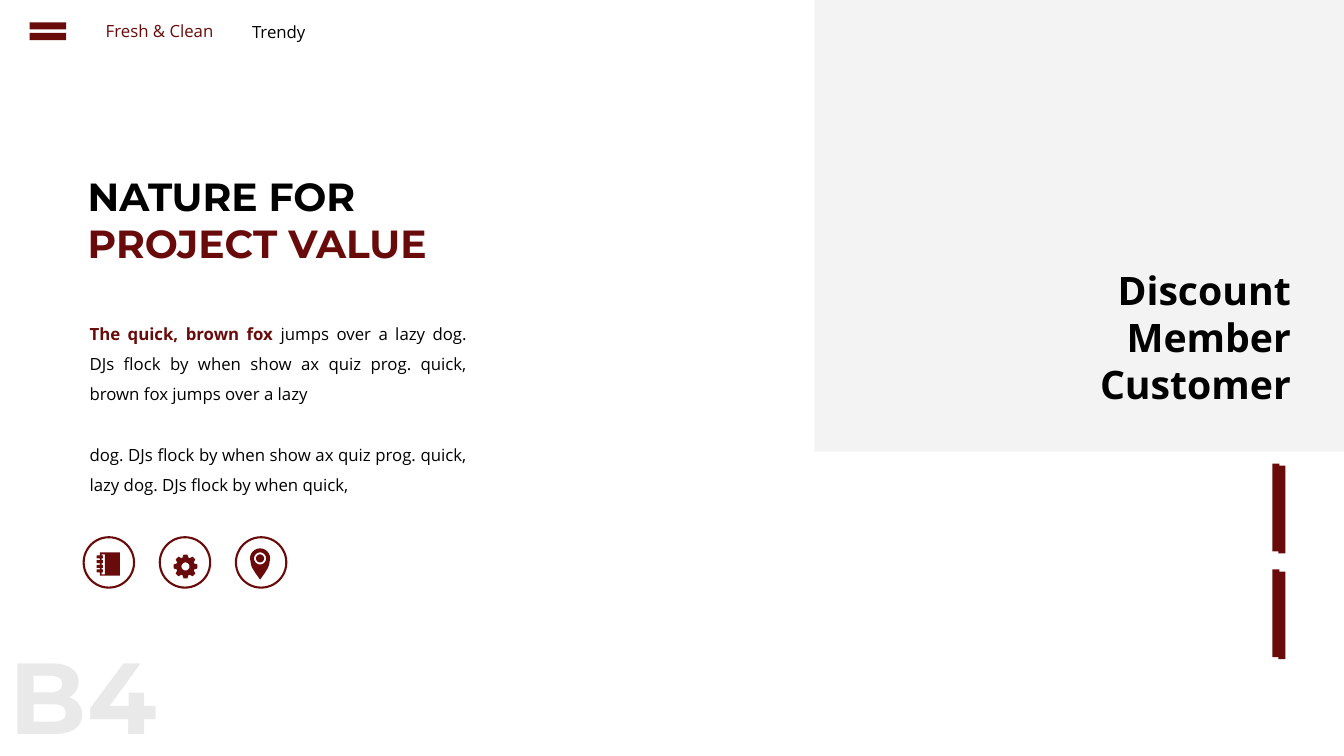
"""Build the project value slide with its discount panel, navigation and icons."""
from math import cos, radians, sin

from lxml import etree
from pptx import Presentation
from pptx.dml.color import RGBColor
from pptx.enum.shapes import MSO_SHAPE
from pptx.enum.text import MSO_ANCHOR, MSO_AUTO_SIZE, PP_ALIGN
from pptx.oxml.ns import qn
from pptx.util import Inches, Pt

RECT, OVAL, EQUAL = MSO_SHAPE.RECTANGLE, MSO_SHAPE.OVAL, MSO_SHAPE.MATH_EQUAL
LEFT, CENTER, RIGHT, JUSTIFY = PP_ALIGN.LEFT, PP_ALIGN.CENTER, PP_ALIGN.RIGHT, PP_ALIGN.JUSTIFY
MAROON, BLACK, WHITE, PANEL, PALE = "690B0B", "000000", "FFFFFF", "F2F2F2", "E9E9E9"
HEADING, BODY = "Montserrat", "Open Sans"

HEADLINE = [[("NATURE FOR ", BLACK, True), ("PROJECT VALUE", MAROON, True)]]
OFFER = [[("Discount Member Customer", BLACK, True)]]
STORY = [
    [("The quick, brown fox ", MAROON, True),
     ("jumps over a lazy dog. DJs flock by when show ax quiz prog. quick, "
      "brown fox jumps over a lazy", BLACK, False)],
    [("dog. DJs flock by when show ax quiz prog. quick, lazy dog. "
      "DJs flock by when quick,", BLACK, False)],
]
NAVIGATION = [
    ("Fresh & Clean", MAROON, (0.95, 0.16, 1.29, 0.3), LEFT),
    ("Trendy", BLACK, (2.39, 0.17, 0.75, 0.3), CENTER),
]
PAGE_MARK = [[("B4", PALE, True)]]
BAR_COLUMNS = [(12.62, 4.6), (12.68, 4.62)]
BAR_GAP = 1.05
BADGES, BADGE_LEFT, BADGE_TOP, BADGE_SIZE, BADGE_SPAN = 3, 0.83, 5.33, 0.5, 1.51
PIN_SIDE = [(0.1, 0), (0.09, 0.06), (0.08, 0.09), (0.05, 0.14), (0, 0.21)]
GEAR_TOOTH = [(0.09, -20), (0.12, -9), (0.12, 9), (0.09, 20)]


def color(value):
    return RGBColor.from_string(value)


def place(item, box):
    item.left, item.top, item.width, item.height = map(Inches, box)


def write(item, paragraphs, size=12, font=BODY, align=LEFT, wrap=True,
          spacing=None, gap=0, fit=MSO_AUTO_SIZE.SHAPE_TO_FIT_TEXT):
    frame = item.text_frame
    frame.word_wrap, frame.auto_size = wrap, fit
    frame.vertical_anchor = MSO_ANCHOR.TOP
    for index, parts in enumerate(paragraphs):
        paragraph = frame.add_paragraph() if index else frame.paragraphs[0]
        paragraph.alignment = align
        if spacing:
            paragraph.line_spacing = spacing
        if index:
            paragraph.space_before = Pt(gap)
        for text, ink, bold in parts:
            run = paragraph.add_run()
            run.text = text
            run.font.name, run.font.size, run.font.bold = font, Pt(size), bold
            run.font.color.rgb = color(ink)


def add_text(slide, box, paragraphs, **style):
    write(slide.shapes.add_textbox(*map(Inches, box)), paragraphs, **style)


def paint(shape, fill, line=None):
    shape.shadow.inherit = False
    shape.fill.solid()
    shape.fill.fore_color.rgb = color(fill)
    if line:
        shape.line.color.rgb = color(line)
        shape.line.width = Pt(1.5)
    else:
        shape.line.fill.background()


def add_block(shapes, kind, box, fill, line=None):
    block = shapes.add_shape(kind, *map(Inches, box))
    paint(block, fill, line)
    return block


def polar(x, y, radius, angle):
    return x + radius * cos(radians(angle)), y + radius * sin(radians(angle))


def ring(x, y, radius):
    return [polar(x, y, radius, angle) for angle in range(0, 360, 15)]


def pin_contours(x, y):
    cap = [polar(x, y, 0.1, angle) for angle in range(180, 360, 15)]
    right = [(x + dx, y + dy) for dx, dy in PIN_SIDE]
    left = [(x - dx, y + dy) for dx, dy in PIN_SIDE[-2:0:-1]]
    return [cap + right + left, ring(x, y, 0.06), ring(x, y, 0.04)]


def gear_contours(x, y):
    teeth = [polar(x, y, radius, turn + angle)
             for turn in range(0, 360, 45) for radius, angle in GEAR_TOOTH]
    return [teeth, ring(x, y, 0.04)]


def notched(edge, tip, far, top, bottom, ring_tops):
    steps = [point for y in ring_tops
             for point in ((edge, y), (tip, y), (tip, y + 0.03), (edge, y + 0.03))]
    return [(far, top), (edge, top), *steps, (edge, bottom), (far, bottom)]


def notebook_contours(x, y):
    ring_tops = [y + 0.03 + 0.14 * index / 3 for index in range(4)]
    return [notched(x + 0.03, x, x + 0.23, y, y + 0.23, ring_tops),
            notched(x + 0.05, x + 0.06, x + 0.08, y + 0.02, y + 0.22, ring_tops)]


def add_icon(slide, contours):
    builder = None
    for contour in contours:
        points = [(Inches(x), Inches(y)) for x, y in contour]
        if builder is None:
            builder = slide.shapes.build_freeform(*points[0])
        else:
            builder.move_to(*points[0])
        builder.add_line_segments(points[1:], close=True)
    paint(builder.convert_to_shape(), MAROON)


def main():
    deck = Presentation()
    deck.slide_width, deck.slide_height = Inches(13.33), Inches(7.5)
    slide = deck.slides.add_slide(deck.slide_layouts[5])

    panel = add_block(slide.shapes, RECT, (8.08, 0, 5.25, 4.48), PANEL)
    tint = panel.fill._xPr.find(qn("a:solidFill"))[0]
    etree.SubElement(tint, qn("a:alpha"), val="90000")
    add_text(slide, (10.41, 2.59, 2.49, 1.51), OFFER, size=28, align=RIGHT)

    for left, top in BAR_COLUMNS:
        column = slide.shapes.add_group_shape()
        for row in range(2):
            add_block(column.shapes, RECT, (left, top + row * BAR_GAP, 0.07, 0.87), MAROON)

    for label, ink, box, align in NAVIGATION:
        add_text(slide, box, [[(label, ink, False)]], align=align, wrap=False)
    add_block(slide.shapes, EQUAL, (0.23, 0.16, 0.49, 0.3), MAROON)

    title = slide.shapes.title
    place(title, (0.77, 1.66, 3.73, 1.04))
    write(title, HEADLINE, size=28, font=HEADING, fit=MSO_AUTO_SIZE.NONE)

    for index in range(BADGES):
        left = BADGE_LEFT + index * BADGE_SPAN / (BADGES - 1)
        add_block(slide.shapes, OVAL, (left, BADGE_TOP, BADGE_SIZE, BADGE_SIZE), WHITE, MAROON)
    for contours in (notebook_contours(0.96, 5.48), gear_contours(1.84, 5.62),
                     pin_contours(2.58, 5.54)):
        add_icon(slide, contours)

    add_text(slide, (0.79, 3.06, 3.94, 1.89), STORY, align=JUSTIFY, spacing=1.5, gap=21.6)
    add_text(slide, (0, 6.24, 1.75, 1.26), PAGE_MARK, size=72, font=HEADING,
             wrap=False, fit=MSO_AUTO_SIZE.NONE)
    deck.save("out.pptx")


if __name__ == "__main__":
    main()
